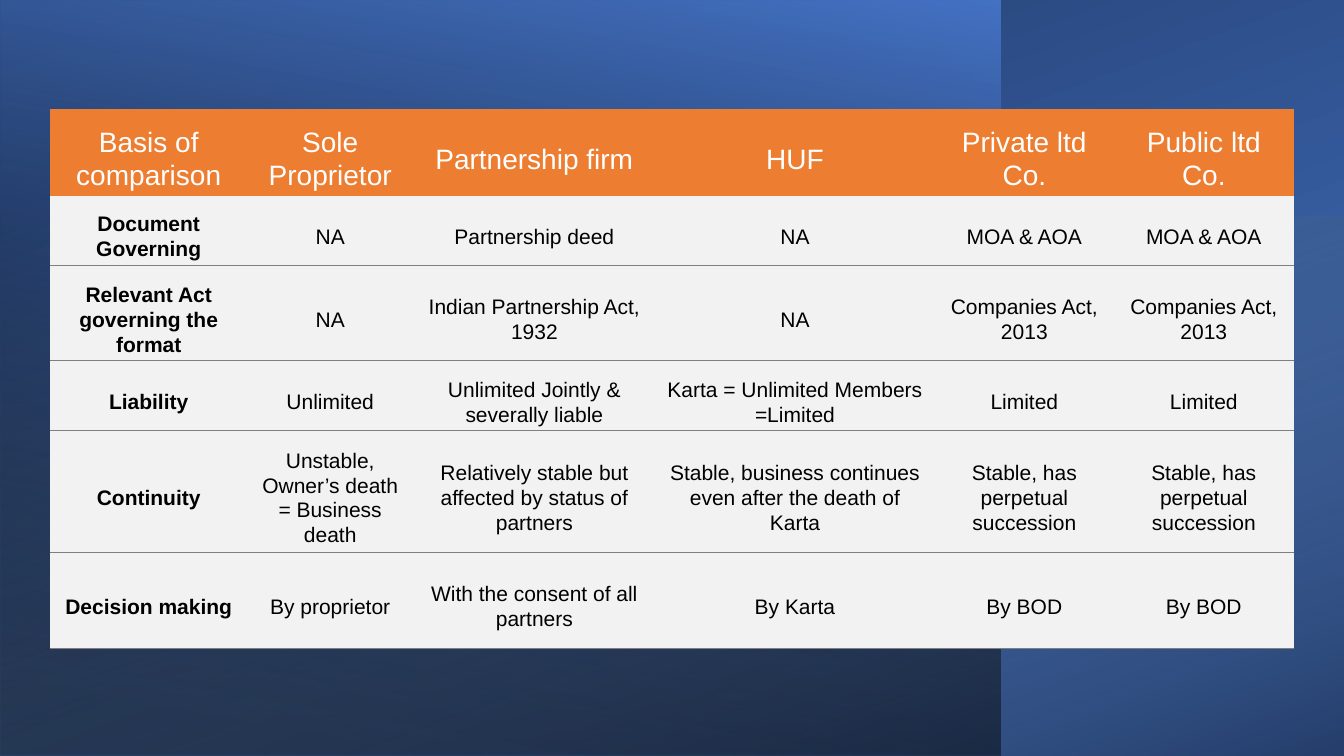
from lxml import etree
from pptx import Presentation
from pptx import util as u
from pptx.dml.color import RGBColor
from pptx.enum import shapes, text
from pptx.oxml import ns

BLUE = RGBColor(0x44, 0x72, 0xC4)
NAVY = RGBColor(0x1F, 0x38, 0x64)
SKY = RGBColor(0x9C, 0xC2, 0xE5)
BLACK = RGBColor(0, 0, 0)
WHITE = RGBColor(0xFF, 0xFF, 0xFF)
ORANGE = RGBColor(0xED, 0x7D, 0x31)
PALE = RGBColor(0xF2, 0xF2, 0xF2)
GREY = RGBColor(0x7F, 0x7F, 0x7F)

SLIDE_W, SLIDE_H = 13.33, 7.5
COLUMN_WIDTHS = [1.95, 1.65, 2.4, 2.77, 1.78, 1.78]
ROW_HEIGHTS = [0.86, 0.69, 0.95, 0.69, 1.21, 0.95]
COMPARISON = [
    ["Basis of comparison", "Sole Proprietor", "Partnership firm", "HUF",
     "Private ltd Co.", "Public ltd Co."],
    ["Document Governing", "NA", "Partnership deed", "NA",
     "MOA & AOA", "MOA & AOA"],
    ["Relevant Act governing the format", "NA", "Indian Partnership Act, 1932",
     "NA", "Companies Act, 2013", "Companies Act, 2013"],
    ["Liability", "Unlimited", "Unlimited Jointly & severally liable",
     "Karta = Unlimited Members =Limited", "Limited", "Limited"],
    ["Continuity", "Unstable, Owner’s death = Business death",
     "Relatively stable but affected by status of partners",
     "Stable, business continues even after the death of Karta",
     "Stable, has perpetual succession", "Stable, has perpetual succession"],
    ["Decision making", "By proprietor", "With the consent of all partners",
     "By Karta", "By BOD", "By BOD"],
]

# Backdrop layers: visible box, rotation, gradient angle, stops (%, colour, opacity %)
BACKDROP = [
    ((0, 0, SLIDE_W, SLIDE_H), 270, 200,
     [(0, BLUE, 100), (8, BLUE, 100), (100, NAVY, 100)]),
    ((0, 0, 9.92, SLIDE_H), 180, 80,
     [(0, BLACK, 52), (8, BLACK, 52), (100, BLUE, 100)]),
    ((0, 2.15, SLIDE_W, 5.35), 270, 20,
     [(0, SKY, 0), (100, BLACK, 46)]),
]


def set_attributes(target, values):
    for name, value in values.items():
        setattr(target, name, value)


def add_node(parent, tag, **attributes):
    return etree.SubElement(parent, ns.qn(tag), attributes)


def add_layer(slide, box, rotation, angle, stops):
    """Mirrored gradient rectangle that covers the box once it is rotated."""
    left, top, width, height = box
    center_x, center_y = left + width / 2, top + height / 2
    if rotation % 180:
        width, height = height, width
    layer = slide.shapes.add_shape(
        shapes.MSO_SHAPE.RECTANGLE,
        u.Inches(center_x - width / 2), u.Inches(center_y - height / 2),
        u.Inches(width), u.Inches(height))
    layer.shadow.inherit = False
    layer.rotation = rotation
    layer.line.fill.background()
    properties = layer.element.spPr
    properties.xfrm.set("flipH", "1")

    gradient = etree.Element(ns.qn("a:gradFill"), rotWithShape="1")
    stop_list = add_node(gradient, "a:gsLst")
    for position, color, opacity in stops:
        stop = add_node(stop_list, "a:gs", pos=str(position * 1000))
        tint = add_node(stop, "a:srgbClr", val=str(color))
        if opacity < 100:
            add_node(tint, "a:alpha", val=str(opacity * 1000))
    add_node(gradient, "a:lin", ang=str(angle * 60000), scaled="0")
    properties.find(ns.qn("a:prstGeom")).addnext(gradient)


def set_borders(cell, ruled_edges):
    """Grey rule on the named edges, nothing on the others."""
    properties = cell._tc.get_or_add_tcPr()
    for index, edge in enumerate("LRTB"):
        line = etree.Element(ns.qn("a:ln" + edge), w=str(u.Pt(0.75)))
        if edge in ruled_edges:
            add_node(add_node(line, "a:solidFill"), "a:srgbClr", val=str(GREY))
        else:
            add_node(line, "a:noFill")
        properties.insert(index, line)


def fill_cell(cell, wording, row, column):
    header = row == 0
    set_attributes(cell, {
        "text": wording,
        "vertical_anchor": text.MSO_ANCHOR.MIDDLE,
        "margin_left": u.Inches(0.09), "margin_right": u.Inches(0.09),
        "margin_top": u.Inches(0.12), "margin_bottom": 0})
    cell.fill.solid()
    cell.fill.fore_color.rgb = ORANGE if header else PALE
    paragraph = cell.text_frame.paragraphs[0]
    set_attributes(paragraph, {
        "alignment": text.PP_ALIGN.CENTER, "line_spacing": 1.07})
    font = paragraph.runs[0].font
    set_attributes(font, {
        "name": "Arial", "size": u.Pt(20 if header else 15),
        "bold": not header and column == 0})
    font.color.rgb = WHITE if header else BLACK
    set_borders(cell, "" if header else "B" if row == 1 else "TB")


def add_comparison(slide, left, top):
    table = slide.shapes.add_table(
        len(ROW_HEIGHTS), len(COLUMN_WIDTHS), u.Inches(left), u.Inches(top),
        u.Inches(sum(COLUMN_WIDTHS)), u.Inches(sum(ROW_HEIGHTS))).table
    set_attributes(table, {"first_row": False, "horz_banding": False})
    for column, width in zip(table.columns, COLUMN_WIDTHS):
        column.width = u.Inches(width)
    for row, height in zip(table.rows, ROW_HEIGHTS):
        row.height = u.Inches(height)
    for r, entries in enumerate(COMPARISON):
        for c, wording in enumerate(entries):
            fill_cell(table.cell(r, c), wording, r, c)


def main():
    deck = Presentation()
    deck.slide_width, deck.slide_height = u.Inches(SLIDE_W), u.Inches(SLIDE_H)
    slide = deck.slides.add_slide(deck.slide_layouts[6])
    for layer in BACKDROP:
        add_layer(slide, *layer)
    add_comparison(slide, 0.5, 1.08)
    deck.save("out.pptx")


if __name__ == "__main__":
    main()
